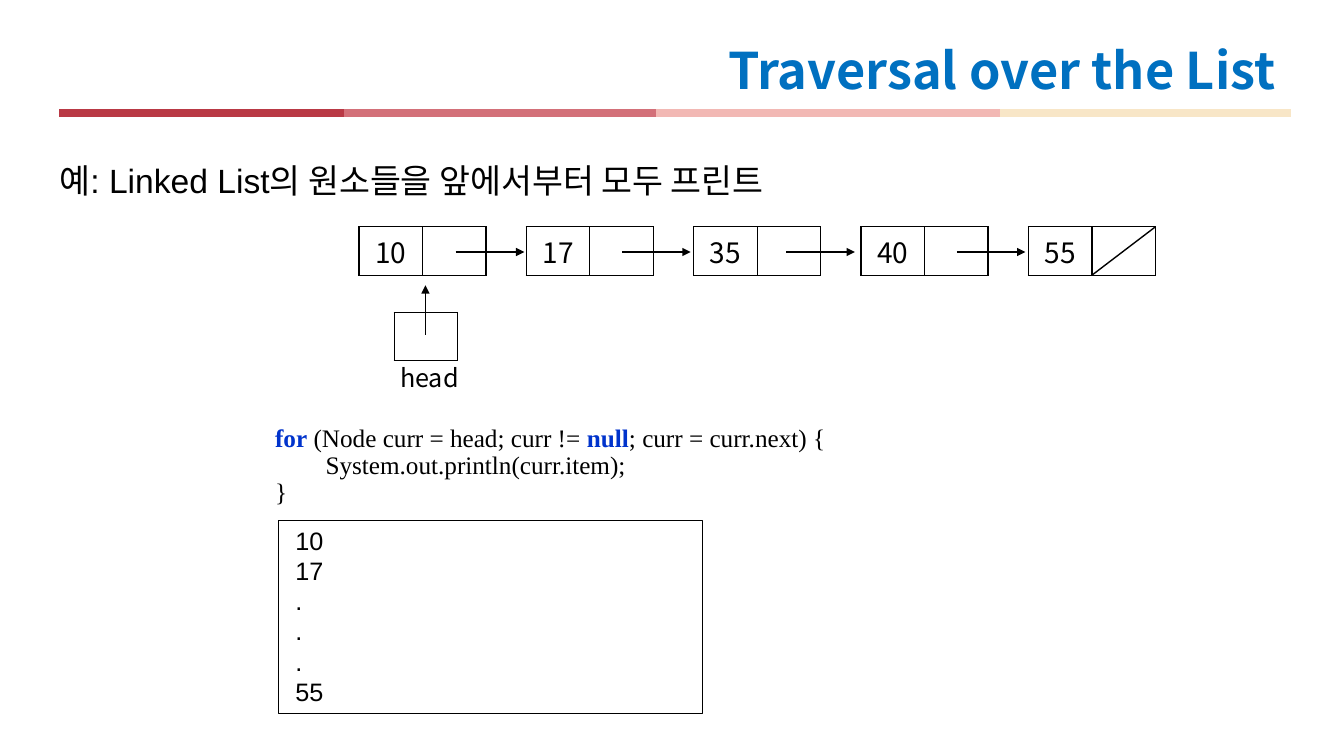
import pptx
import pptx.dml.color
import pptx.enum.shapes
import pptx.enum.text
import pptx.oxml
import pptx.oxml.ns
import pptx.util

# Content
TITLE = "Traversal over the List"
EXAMPLE = "예: Linked List의 원소들을 앞에서부터 모두 프린트"
NODES = ["10", "17", "35", "40", "55"]
ARROW_STARTS = [452, 617, 780, 949]
CODE = [
    [("for", True), (" (Node curr = head; curr != ", False),
     ("null", True), ("; curr = curr.next) {", False)],
    [("\tSystem.out.println(curr.item);", False)],
    [("}", False)],
]
OUTPUT = ["10", "17", ".", ".", ".", "55"]
BAR_EDGES = [59, 341, 651, 992, 1280]
BAR_COLORS = ["B93945", "D37079", "F2B8B4", "F8E6C7"]

# Layout, 100 px to the inch
SANS, KOREAN, SERIF = "Arial", "Noto Sans CJK KR", "Times New Roman"
BLACK, BLUE, KEYWORD = "000000", "0070C0", "0033CC"
NODE_LEFT, NODE_TOP, NODE_PITCH = 356, 225, 166
CELL_WIDTH, CELL_HEIGHT = 63, 48
ARROW_LENGTH, ARROW_Y = 68, 250


def px(length):
    return pptx.util.Emu(length * 9144)


def color(value):
    return pptx.dml.color.RGBColor.from_string(value)


def format_run(run, font, size, rgb=BLACK, bold=False):
    run.font.name = font
    run.font.size = pptx.util.Pt(size)
    run.font.bold = bold
    run.font.color.rgb = color(rgb)
    east_asian = pptx.oxml.ns.qn("a:ea")
    pptx.oxml.xmlchemy.OxmlElement  # factory used below
    element = pptx.oxml.xmlchemy.OxmlElement("a:ea")
    element.set("typeface", KOREAN)
    if run.font._element.find(east_asian) is None:
        run.font._element.append(element)


def place(shape, left, top, width, height):
    shape.left, shape.top = px(left), px(top)
    shape.width, shape.height = px(width), px(height)


def add_text(left, top, width, height):
    frame = slide.shapes.add_textbox(px(left), px(top), px(width), px(height)).text_frame
    frame.word_wrap = True
    return frame


def add_line(x1, y1, x2, y2, rgb=BLACK, width=1, arrow=False):
    line = slide.shapes.add_connector(
        pptx.enum.shapes.MSO_CONNECTOR.STRAIGHT, px(x1), px(y1), px(x2), px(y2))
    line.line.color.rgb = color(rgb)
    line.line.width = pptx.util.Pt(width)
    if arrow:
        tail = pptx.oxml.xmlchemy.OxmlElement("a:tailEnd")
        tail.set("type", "triangle")
        line.line._get_or_add_ln().append(tail)
    line._element.spPr.append(pptx.oxml.xmlchemy.OxmlElement("a:effectLst"))


def add_cells(left, top, texts):
    table = slide.shapes.add_table(
        1, len(texts), px(left), px(top), px(CELL_WIDTH * len(texts)), px(CELL_HEIGHT)).table
    table.first_row = table.horz_banding = False
    for cell, text in zip(table.rows[0].cells, texts):
        cell.margin_top = cell.margin_bottom = px(3)
        cell.vertical_anchor = pptx.enum.text.MSO_ANCHOR.MIDDLE
        for side in ("L", "R", "T", "B"):
            cell._tc.get_or_add_tcPr().append(pptx.oxml.parse_xml(
                f'<a:ln{side} {pptx.oxml.ns.nsdecls("a")} w="12700"><a:solidFill>'
                f'<a:srgbClr val="{BLACK}"/></a:solidFill></a:ln{side}>'))
        cell.fill.background()
        if text:
            cell.text = text
            paragraph = cell.text_frame.paragraphs[0]
            paragraph.alignment = pptx.enum.text.PP_ALIGN.CENTER
            format_run(paragraph.runs[0], KOREAN, 20)


presentation = pptx.Presentation()
presentation.slide_width, presentation.slide_height = px(1333), px(750)
slide = presentation.slides.add_slide(presentation.slide_layouts[1])

# Title and coloured rule
for left, right, rgb in zip(BAR_EDGES, BAR_EDGES[1:], BAR_COLORS):
    add_line(left, 112, right, 112, rgb, 6)
title, body = slide.placeholders
place(title, 58, 33, 1217, 79)
place(body, 49, 146, 808, 72)
for holder, text, spacing in ((title, TITLE, 0.9), (body, EXAMPLE, 0.8)):
    frame = holder.text_frame
    frame.text = text
    frame.auto_size = pptx.enum.text.MSO_AUTO_SIZE.NONE
    frame.vertical_anchor = pptx.enum.text.MSO_ANCHOR.MIDDLE
    frame.paragraphs[0].line_spacing = spacing
    frame.paragraphs[0].space_before = pptx.util.Pt(0)
title.text_frame.paragraphs[0].alignment = pptx.enum.text.PP_ALIGN.RIGHT
format_run(title.text_frame.paragraphs[0].runs[0], KOREAN, 36, BLUE, True)

# Example sentence without a bullet
format_run(body.text_frame.paragraphs[0].runs[0], SANS, 24)
properties = body.text_frame.paragraphs[0]._p.get_or_add_pPr()
properties.set("marL", "0")
properties.set("indent", "0")
properties.append(pptx.oxml.xmlchemy.OxmlElement("a:buNone"))

# Linked list nodes and their links
for index, value in enumerate(NODES):
    add_cells(NODE_LEFT + index * NODE_PITCH, NODE_TOP, [value, ""])
for start in ARROW_STARTS:
    add_line(start, ARROW_Y, start + ARROW_LENGTH, ARROW_Y, arrow=True)
last_left = NODE_LEFT + (len(NODES) - 1) * NODE_PITCH
add_line(last_left + 2 * CELL_WIDTH, NODE_TOP,
         last_left + CELL_WIDTH, NODE_TOP + CELL_HEIGHT)

# Head reference
add_cells(391, 310, [""])
add_line(422, 332, 422, 283, arrow=True)
head = add_text(387, 355, 87, 40)
head.text = "head"
format_run(head.paragraphs[0].runs[0], KOREAN, 18)

# Code
code = add_text(263, 417, 752, 92)
for index, parts in enumerate(CODE):
    paragraph = code.paragraphs[0] if index == 0 else code.add_paragraph()
    paragraph.line_spacing = 0.9
    for text, is_keyword in parts:
        run = paragraph.add_run()
        run.text = text
        format_run(run, SERIF, 18, KEYWORD if is_keyword else BLACK, is_keyword)

# Printed output
output = slide.shapes.add_shape(
    pptx.enum.shapes.MSO_SHAPE.RECTANGLE, px(276), px(516), px(421), px(192))
output.shadow.inherit = False
output.fill.background()
output.line.color.rgb = color(BLACK)
output.line.width = pptx.util.Pt(0.75)
output.text_frame.margin_left = px(17)
output.text_frame.vertical_anchor = pptx.enum.text.MSO_ANCHOR.TOP
output.text_frame.text = "\n".join(OUTPUT)
for paragraph in output.text_frame.paragraphs:
    paragraph.alignment = pptx.enum.text.PP_ALIGN.LEFT
    format_run(paragraph.runs[0], SANS, 18)

presentation.save("out.pptx")
